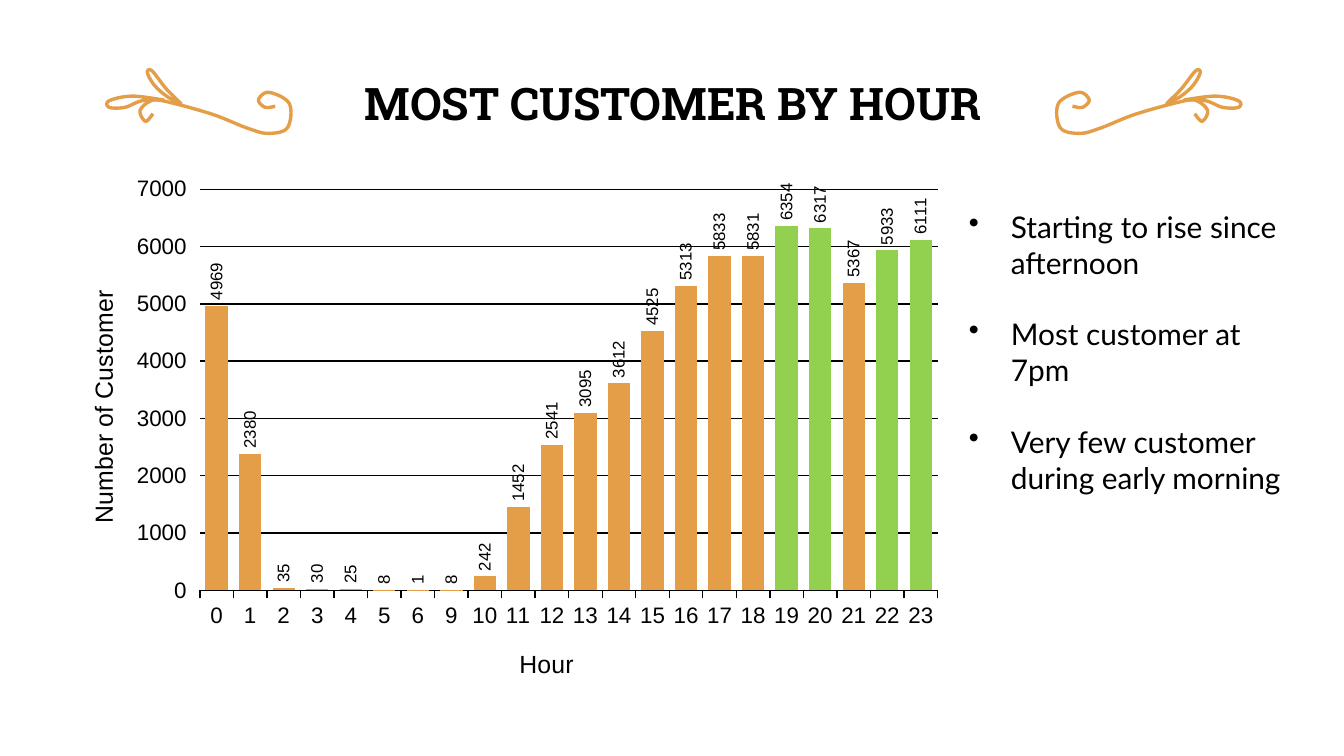
from lxml.etree import SubElement
from pptx import Presentation
from pptx.chart.data import CategoryChartData
from pptx.dml.color import RGBColor
from pptx.enum.chart import XL_CHART_TYPE as ChartType, XL_LABEL_POSITION as LabelPosition
from pptx.enum.chart import XL_TICK_MARK as TickMark
from pptx.enum.text import MSO_ANCHOR as Anchor, PP_ALIGN as Align
from pptx.oxml import parse_xml
from pptx.oxml.ns import nsdecls, qn
from pptx.util import Pt

BLACK = RGBColor(0x00, 0x00, 0x00)
ORANGE = RGBColor(0xE4, 0x9E, 0x48)
GREEN = RGBColor(0x92, 0xD0, 0x50)

CUSTOMERS = {
    0: 4969, 1: 2380, 2: 35, 3: 30, 4: 25, 5: 8, 6: 1, 9: 8, 10: 242, 11: 1452, 12: 2541,
    13: 3095, 14: 3612, 15: 4525, 16: 5313, 17: 5833, 18: 5831, 19: 6354, 20: 6317,
    21: 5367, 22: 5933, 23: 6111,
}
PEAK_HOURS = {19, 20, 22, 23}
FINDINGS = [
    "Starting to rise since afternoon",
    "Most customer at 7pm",
    "Very few customer during early morning",
]

# Strokes of the right-hand flourish: points in pt that a smooth curve passes through
SLIDE_WIDTH = 720
MIRROR_SUM = 722
UPPER_LEAF = [(625, 55.5), (633, 47.5), (640.5, 38), (643, 39), (639, 46), (632, 52), (625, 55.5)]
SIDE_LEAF = [(634.5, 53.5), (651.5, 51.5), (663.5, 54), (663.5, 57.5), (655, 57.5),
             (646, 54), (634.5, 53.5)]
STEM = [(574.5, 57), (580, 57.5), (583.5, 53.5), (578, 49.5), (567, 55.5), (568, 68.5),
        (578.5, 71.5), (590, 68.5), (609, 61), (635, 54), (642, 54.5), (647, 59.5),
        (644, 65), (640, 61)]


def smooth(points, steps=8):
    """Return points along a Catmull-Rom curve through the given points."""
    curve = [points[0]]
    padded = [points[0], *points, points[-1]]
    for before, start, end, after in zip(padded, padded[1:], padded[2:], padded[3:]):
        for step in range(1, steps + 1):
            t = step / steps
            curve.append(tuple(
                b + t * (c - a + t * (2 * a - 5 * b + 4 * c - d + t * (3 * b - a - 3 * c + d))) / 2
                for a, b, c, d in zip(before, start, end, after)))
    return curve


def write(paragraph, text, size, font="Arial", color=BLACK, bold=False):
    run = paragraph.add_run()
    run.text = text
    run.font.size, run.font.name, run.font.bold = Pt(size), font, bold
    run.font.color.rgb = color


def place(element, index, x, y, width=None, height=None):
    """Give a chart part a manual layout in fractions of the chart."""
    for old in element.findall(qn("c:layout")):
        element.remove(old)
    settings = {"xMode": "edge", "yMode": "edge", "x": x, "y": y}
    if width:
        settings = {"layoutTarget": "inner", **settings, "w": width, "h": height}
    layout = parse_xml(f'<c:layout {nsdecls("c")}><c:manualLayout/></c:layout>')
    for name, value in settings.items():
        SubElement(layout[0], qn("c:" + name)).set("val", str(value))
    element.insert(index, layout)


def turn_upright(element):
    body = element.find(".//" + qn("a:bodyPr"))
    body.set("rot", "-5400000")
    body.set("vert", "horz")


class Deck:
    def __init__(self, slide):
        self.slide = slide

    def text(self, lines, left, top, width, height, align=Align.LEFT, anchor=Anchor.TOP,
             bullet=False, gap=0, **style):
        frame = self.slide.shapes.add_textbox(Pt(left), Pt(top), Pt(width), Pt(height)).text_frame
        frame.word_wrap, frame.vertical_anchor = True, anchor
        frame.margin_left = frame.margin_right = Pt(7.2)
        frame.margin_top = frame.margin_bottom = Pt(7.2)
        for index, line in enumerate(lines):
            paragraph = frame.add_paragraph() if index else frame.paragraphs[0]
            paragraph.alignment = align
            if index:
                paragraph.space_before = Pt(gap)
            if bullet:
                properties = paragraph._p.get_or_add_pPr()
                properties.set("marL", str(Pt(22.5)))
                properties.set("indent", str(-Pt(22.5)))
                color = SubElement(properties, qn("a:buClr"))
                SubElement(color, qn("a:srgbClr")).set("val", str(BLACK))
                SubElement(properties, qn("a:buChar")).set("char", "•")
            write(paragraph, line, **style)

    def flourish(self, mirrored):
        group = self.slide.shapes.add_group_shape()
        for stroke in (UPPER_LEAF, SIDE_LEAF, STEM):
            points = [(Pt(MIRROR_SUM - x if mirrored else x), Pt(y)) for x, y in smooth(stroke)]
            builder = group.shapes.build_freeform(*points[0], scale=1.0)
            builder.add_line_segments(points[1:], close=False)
            shape = builder.convert_to_shape()
            shape.shadow.inherit = False
            shape.fill.background()
            shape.line.width, shape.line.color.rgb = Pt(1.8), ORANGE

    def axis(self, axis, title, x, y):
        axis.major_tick_mark, axis.minor_tick_mark = TickMark.OUTSIDE, TickMark.NONE
        font = axis.tick_labels.font
        font.size, font.name, font.color.rgb = Pt(12), "Arial", BLACK
        write(axis.axis_title.text_frame.paragraphs[0], title, 13.3)
        place(axis.axis_title._element, 1, x, y)

    def column_chart(self, left, top, width, height):
        data = CategoryChartData()
        data.categories = [str(hour) for hour in CUSTOMERS]
        data.add_series("Series 1", CUSTOMERS.values())
        chart = self.slide.shapes.add_chart(ChartType.COLUMN_CLUSTERED, Pt(left), Pt(top),
                                            Pt(width), Pt(height), data).chart
        chart.has_legend = chart.has_title = False
        chart.font.size, chart.font.name = Pt(10), "Arial"
        plot = chart.plots[0]
        plot.gap_width, plot.overlap, plot.vary_by_categories = 50, -27, False
        plot_area = chart._chartSpace.find(".//" + qn("c:plotArea"))
        place(plot_area, 0, 0.16, 0.04, width=0.82, height=0.75)

        # Axes
        hours, values = chart.category_axis, chart.value_axis
        self.axis(hours, "Hour", 0.51, 0.89)
        self.axis(values, "Number of Customer", 0.03, 0.22)
        turn_upright(values.axis_title._element)
        values.minimum_scale, values.maximum_scale, values.major_unit = 0, 7000, 1000
        values.format.line.fill.background()
        for line in (hours.format.line, values.major_gridlines.format.line):
            line.width, line.color.rgb = Pt(0.75), BLACK

        # Columns and their labels
        series = plot.series[0]
        series.format.fill.solid()
        series.format.fill.fore_color.rgb = ORANGE
        for index, hour in enumerate(CUSTOMERS):
            if hour in PEAK_HOURS:
                fill = series.points[index].format.fill
                fill.solid()
                fill.fore_color.rgb = GREEN
        labels = series.data_labels
        labels.show_value, labels.position = True, LabelPosition.OUTSIDE_END
        labels.font.size, labels.font.name, labels.font.color.rgb = Pt(9), "Arial", BLACK
        turn_upright(labels._element)


def main():
    presentation = Presentation()
    presentation.slide_width, presentation.slide_height = Pt(SLIDE_WIDTH), Pt(405)
    deck = Deck(presentation.slides.add_slide(presentation.slide_layouts[6]))

    # Ornaments and title
    for mirrored in (False, True):
        deck.flourish(mirrored)
    deck.text(["MOST CUSTOMER BY HOUR"], 55.5, 28, 610, 53.5, align=Align.CENTER,
              anchor=Anchor.MIDDLE, size=24, font="Roboto Slab", bold=True)

    # Chart and findings
    deck.column_chart(30, 90, 482, 286.5)
    deck.text(FINDINGS, 512, 104.5, 183.5, 216, bullet=True, gap=19.2, size=16, font="Lato")
    presentation.save("out.pptx")


if __name__ == "__main__":
    main()
